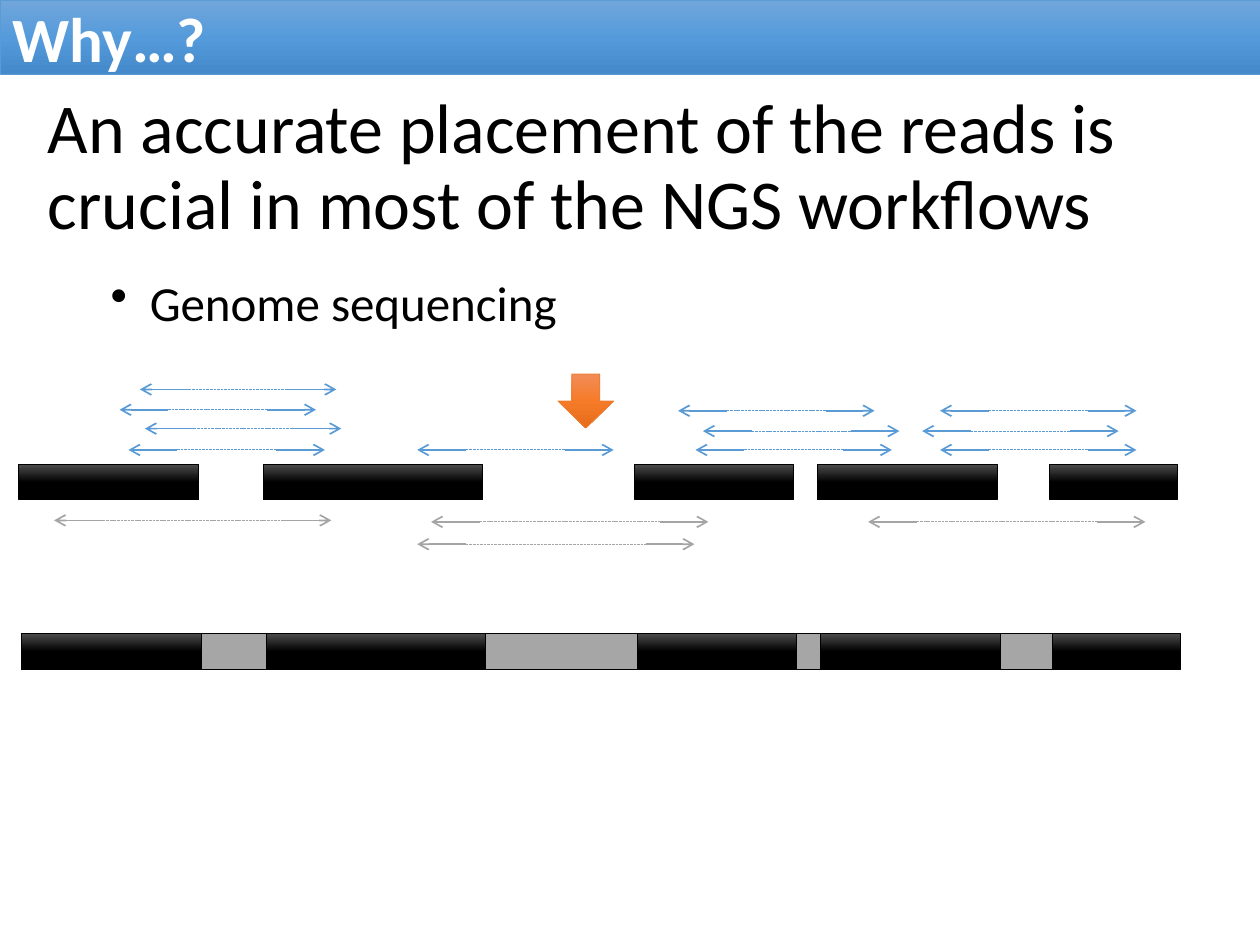
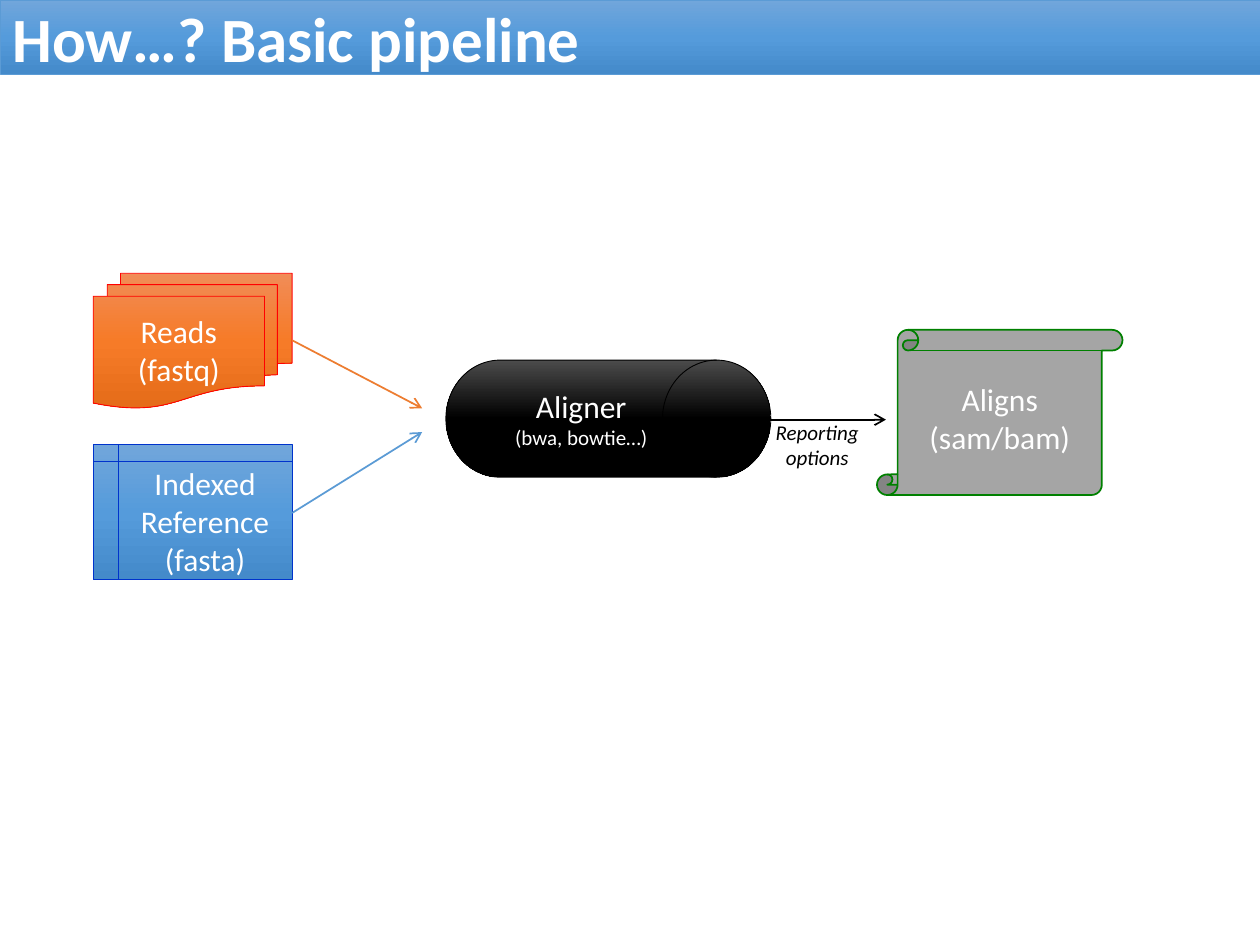
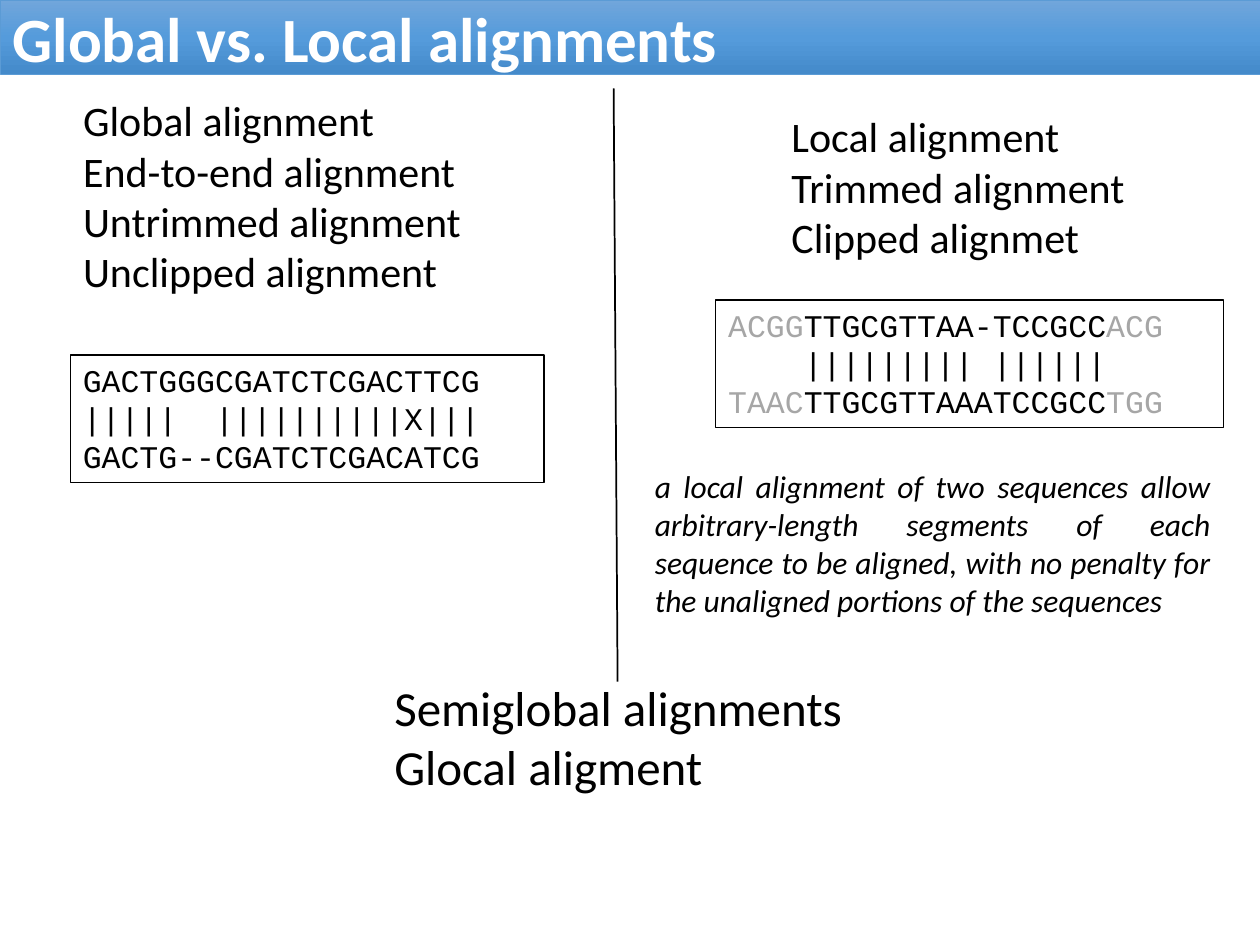
from copy import deepcopy
from dataclasses import dataclass

from lxml.etree import SubElement
from pptx import Presentation
from pptx.dml.color import RGBColor
from pptx.enum.dml import MSO_LINE
from pptx.enum.shapes import MSO_CONNECTOR, MSO_SHAPE
from pptx.enum.text import MSO_ANCHOR, MSO_AUTO_SIZE, PP_ALIGN
from pptx.oxml.ns import qn
from pptx.util import Cm, Pt


@dataclass(frozen=True)
class Theme:
    ink: str = "000000"
    paper: str = "FFFFFF"
    blue: str = "5B9BD5"
    orange: str = "ED7D31"
    gray: str = "A5A5A5"
    faded: str = "A6A6A6"
    red: str = "FF0000"
    navy: str = "0033CC"
    green: str = "008000"
    blue_fade: tuple = ("71A6DB", "559BDB", "448ACA")
    orange_fade: tuple = ("F18C57", "F67B28", "E56C19")
    black_fade: tuple = ("4B4B4B", "000000", "000000")
    text_font: str = "Calibri"
    code_font: str = "Courier New"
    statement: int = 40
    title: int = 36
    topic: int = 28
    listing: int = 24
    body: int = 18
    small: int = 12


THEME = Theme()


def write(shape, lines, size=THEME.body, color=THEME.ink, font=THEME.text_font, bold=False,
          italic=False, align=PP_ALIGN.LEFT, anchor=MSO_ANCHOR.TOP, bullet=None, spacing=1.0):
    frame = shape.text_frame
    frame.word_wrap = True
    frame.auto_size = MSO_AUTO_SIZE.NONE
    frame.vertical_anchor = anchor
    for index, line in enumerate(lines):
        paragraph = frame.add_paragraph() if index else frame.paragraphs[0]
        properties = paragraph._p.get_or_add_pPr()
        indent = Cm(0.79) if bullet else 0
        properties.set("marL", str(indent))
        properties.set("indent", str(-indent))
        if bullet:
            SubElement(properties, qn("a:buChar"), char=bullet)
        else:
            SubElement(properties, qn("a:buNone"))
        paragraph.alignment = align
        paragraph.line_spacing = spacing
        paragraph.space_before = Pt(0)
        for words, changes in [(line, {})] if isinstance(line, str) else line:
            run = paragraph.add_run()
            run.text = words
            run.font.name = font
            run.font.size = Pt(changes.get("size", size))
            run.font.bold = bold
            run.font.italic = italic
            run.font.color.rgb = RGBColor.from_string(changes.get("color", color))


def paint(shape, fill, edge, width=0.5):
    shape.shadow.inherit = False
    shape.line.color.rgb = RGBColor.from_string(edge)
    shape.line.width = Pt(width)
    if fill is None:
        shape.fill.background()
    elif isinstance(fill, str):
        shape.fill.solid()
        shape.fill.fore_color.rgb = RGBColor.from_string(fill)
    else:
        shape.fill.gradient()
        shape.fill.gradient_angle = 270
        stops = shape._element.spPr.find(".//" + qn("a:gsLst"))
        stops.insert(1, deepcopy(stops[0]))
        for stop, color, position in zip(shape.fill.gradient_stops, fill, (0, 0.5, 1)):
            stop.color.rgb = RGBColor.from_string(color)
            stop.position = position


deck = Presentation()
deck.slide_width = Cm(25.4)
deck.slide_height = Cm(19.05)

slides = []
for layout, heading in ((1, "Why…?"), (5, "How…? Basic pipeline"), (3, "Global vs. Local alignments")):
    slide = deck.slides.add_slide(deck.slide_layouts[layout])
    band = slide.shapes.title
    band.left, band.top, band.width, band.height = Cm(0), Cm(0), Cm(25.4), Cm(1.5)
    paint(band, THEME.blue_fade, THEME.blue)
    write(band, [heading], size=THEME.title, color=THEME.paper, bold=True, anchor=MSO_ANCHOR.MIDDLE)
    slides.append(slide)
why, pipeline, comparison = slides

for slide, slot, box, lines, look in (
    (why, 1, (0.71, 1.75, 24.33, 4.24),
     ["An accurate placement of the reads is crucial in most of the NGS workflows"],
     dict(size=THEME.statement, spacing=0.9)),
    (comparison, 1, (1.42, 1.78, 8.4, 4.37),
     ["Global alignment", "End-to-end alignment", "Untrimmed alignment", "Unclipped alignment"],
     dict(size=THEME.listing)),
    (comparison, 2, (15.7, 2.11, 9.6, 4.37),
     ["Local alignment", "Trimmed alignment", "Clipped alignmet"],
     dict(size=THEME.listing)),
):
    body = slide.placeholders[slot]
    body.left, body.top, body.width, body.height = map(Cm, box)
    write(body, lines, **look)

for slide, box, lines, look in (
    (why, (1.98, 5.36, 9.8, 1.45), ["Genome sequencing"], dict(size=THEME.topic, bullet="•")),
    (pipeline, (15.32, 8.33, 2.31, 1.27), ["Reporting", "options"],
     dict(size=THEME.small, italic=True, align=PP_ALIGN.CENTER)),
    (comparison, (7.7, 13.54, 9.8, 2.64), ["Semiglobal alignments", "Glocal aligment"],
     dict(size=THEME.topic)),
    (comparison, (12.95, 9.3, 11.71, 3.33),
     ["a local alignment of two sequences allow arbitrary-length segments of each sequence "
      "to be aligned, with no penalty for the unaligned portions of the sequences"],
     dict(italic=True, align=PP_ALIGN.JUSTIFY)),
):
    write(slide.shapes.add_textbox(*map(Cm, box)), lines, **look)

scaffold = why.shapes.add_shape(MSO_SHAPE.RECTANGLE, Cm(0.43), Cm(12.78), Cm(23.29), Cm(0.71))
paint(scaffold, THEME.faded, THEME.ink)
for shift, top in ((0, 9.37), (0.06, 12.78)):
    for left, width in ((0.38, 3.63), (5.31, 4.42), (12.8, 3.2), (16.48, 3.63), (21.16, 2.57)):
        contig = why.shapes.add_shape(
            MSO_SHAPE.RECTANGLE, Cm(left + shift), Cm(top), Cm(width), Cm(0.71))
        paint(contig, THEME.black_fade, THEME.ink)
gap_pointer = why.shapes.add_shape(MSO_SHAPE.DOWN_ARROW, Cm(11.25), Cm(7.54), Cm(1.12), Cm(1.09))
paint(gap_pointer, THEME.orange_fade, THEME.orange)

for kind, box, fill, edge, width, lines in (
    (MSO_SHAPE.FLOWCHART_MULTIDOCUMENT, (1.88, 5.51, 4.01, 2.72),
     THEME.orange_fade, THEME.red, 0.5, ["Reads", "(fastq)"]),
    (MSO_SHAPE.FLOWCHART_INTERNAL_STORAGE, (1.88, 8.97, 4.01, 2.72),
     THEME.blue_fade, THEME.navy, 0.5, ["Indexed", "Reference", "(fasta)"]),
    (MSO_SHAPE.VERTICAL_SCROLL, (17.68, 6.65, 4.95, 3.33),
     THEME.gray, THEME.green, 1, ["Aligns", "(sam/bam)"]),
    (MSO_SHAPE.FLOWCHART_DIRECT_ACCESS_STORAGE, (8.99, 7.26, 6.55, 2.36),
     THEME.black_fade, THEME.ink, 0.5, ["Aligner", [("(bwa, bowtie…)", {"size": THEME.small})]]),
):
    step = pipeline.shapes.add_shape(kind, *map(Cm, box))
    paint(step, fill, edge, width)
    write(step, lines, color=THEME.paper, align=PP_ALIGN.CENTER, anchor=MSO_ANCHOR.MIDDLE)

clipped = {"color": THEME.faded}
for box, lines in (
    ((1.42, 7.16, 9.55, 2.57),
     ["GACTGGGCGATCTCGACTTCG", "|||||  ||||||||||X|||", "GACTG--CGATCTCGACATCG"]),
    ((14.43, 6.05, 10.24, 2.57),
     [[("ACGG", clipped), ("TTGCGTTAA-TCCGCC", {}), ("ACG", clipped)],
      "    ||||||||| ||||||",
      [("TAAC", clipped), ("TTGCGTTAAATCCGCC", {}), ("TGG", clipped)]]),
):
    alignment = comparison.shapes.add_shape(MSO_SHAPE.RECTANGLE, *map(Cm, box))
    paint(alignment, None, THEME.ink, 0.75)
    write(alignment, lines, font=THEME.code_font)

strokes = [
    (pipeline, (5.89, 6.86, 8.51, 8.23), THEME.orange, "arrow"),
    (pipeline, (5.89, 10.34, 8.51, 8.71), THEME.blue, "arrow"),
    (pipeline, (14.35, 8.46, 17.86, 8.46), THEME.ink, "arrow"),
    (comparison, (12.37, 1.78, 12.45, 13.74), THEME.ink, "plain"),
]
read_end = 0.98
for color, length, pairs in (
    (THEME.blue, 3.96, (
        (2.59, 9.07), (2.92, 8.64), (2.41, 8.26), (2.82, 7.85), (8.41, 9.07),
        (14.02, 9.07), (14.17, 8.69), (13.67, 8.28),
        (18.95, 9.07), (18.59, 8.69), (18.95, 8.28))),
    (THEME.gray, 5.59, ((1.09, 10.49), (8.69, 10.52), (8.41, 10.97), (17.5, 10.52))),
):
    for left, y in pairs:
        right = left + length
        strokes += [
            (why, (right - read_end, y, right, y), color, "arrow"),
            (why, (left + read_end, y, left, y), color, "arrow"),
            (why, (left + read_end, y, right - read_end, y), color, "dashed"),
        ]

for slide, ends, color, style in strokes:
    stroke = slide.shapes.add_connector(MSO_CONNECTOR.STRAIGHT, *map(Cm, ends))
    stroke.line.color.rgb = RGBColor.from_string(color)
    stroke.line.width = Pt(0.5 if style == "dashed" else 1)
    if style == "dashed":
        stroke.line.dash_style = MSO_LINE.SQUARE_DOT
    properties = stroke._element.spPr
    if style == "arrow":
        SubElement(properties.find(qn("a:ln")), qn("a:tailEnd"), type="arrow")
    SubElement(properties, qn("a:effectLst"))

deck.save("out.pptx")
